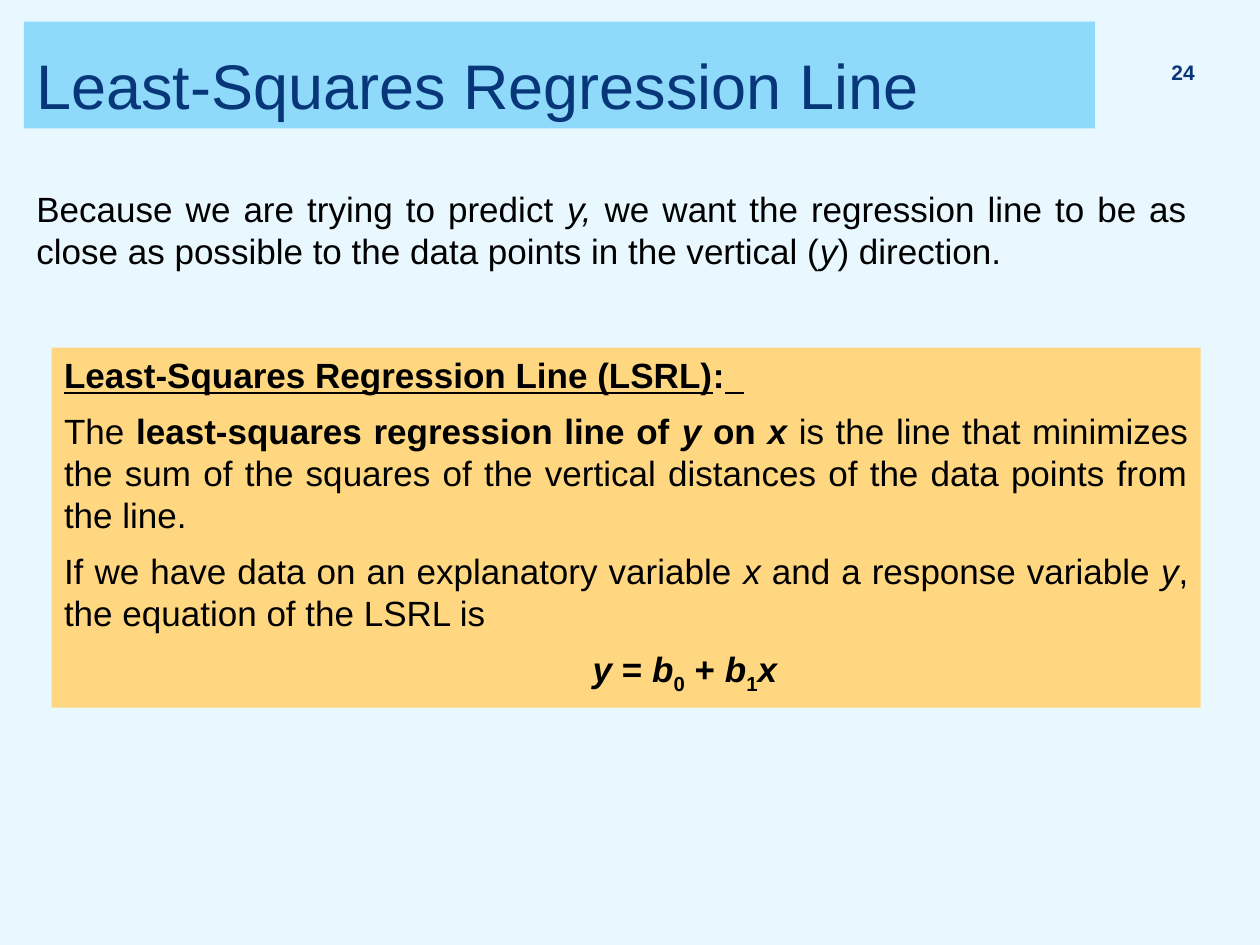
from pptx import Presentation
from pptx import util as u
from pptx.dml.color import RGBColor
from pptx.enum import shapes, text

SKY = RGBColor(0xE9, 0xF7, 0xFE)
BANNER = RGBColor(0x8F, 0xD9, 0xFB)
NAVY = RGBColor(0x07, 0x37, 0x79)
GOLD = RGBColor(0xFF, 0xD7, 0x80)
BLACK = RGBColor(0, 0, 0)
WIDTH, HEIGHT = u.Inches(10), u.Inches(7.5)
JUSTIFY = text.PP_ALIGN.JUSTIFY

INTRO = [
    ("Because we are trying to predict ", ""), ("y,", "i"),
    (" we want the regression line to be as close as possible to the data "
     "points in the vertical (", ""), ("y", "i"), (") direction.", ""),
]
HEADING = [("Least-Squares Regression Line (LSRL)", "bu"), (":", "b"), ("  ", "u")]
DEFINITION = [
    ("The ", ""), ("least-squares regression line of ", "b"), ("y ", "bi"),
    ("on ", "b"), ("x ", "bi"),
    ("is the line that minimizes the sum of the squares of the vertical "
     "distances of the data points from the line.", ""),
]
VARIABLES = [
    ("If we have data on an explanatory variable ", ""), ("x", "i"),
    (" and a response variable ", ""), ("y", "i"),
    (", the equation of the LSRL is", ""),
]
EQUATION = [
    ("y", "bi"), (" = ", "b"), ("b", "bi"), ("0", "bs"), (" + ", "b"),
    ("b", "bi"), ("1", "bs"), ("x", "bi"),
]


def share(left, top, width, height):
    """Turn shares of the slide into a box in slide units."""
    return (int(left * WIDTH), int(top * HEIGHT),
            int(width * WIDTH), int(height * HEIGHT))


def style(font, size, color):
    """Give a font the deck's typeface with a size and colour."""
    font.name, font.size, font.color.rgb = "Arial", u.Pt(size), color


def add_panel(slide, box, fill):
    """Add a plain filled rectangle and return its text frame."""
    panel = slide.shapes.add_shape(shapes.MSO_SHAPE.RECTANGLE, *box)
    panel.shadow.inherit = False
    panel.fill.solid()
    panel.fill.fore_color.rgb = fill
    panel.line.fill.background()
    return panel.text_frame


def write_paragraph(paragraph, pieces, align):
    """Write pieces of text marked b, i, u or s (subscript)."""
    paragraph.alignment = align
    for words, marks in pieces:
        run = paragraph.add_run()
        run.text = words
        style(run.font, 20, BLACK)
        run.font.bold, run.font.italic = "b" in marks, "i" in marks
        run.font.underline = "u" in marks
        if "s" in marks:
            run.font._element.set("baseline", "-25000")


def add_title(slide, box):
    """Add the title banner."""
    frame = add_panel(slide, box, BANNER)
    frame.text = "Least-Squares Regression Line"
    frame.vertical_anchor = text.MSO_ANCHOR.BOTTOM
    title = frame.paragraphs[0]
    title.alignment = text.PP_ALIGN.LEFT
    style(title.runs[0].font, 36, NAVY)


def add_page_number(slide, box):
    """Add the page number at the right of the banner."""
    frame = slide.shapes.add_textbox(*box).text_frame
    frame.word_wrap = True
    frame.text = "24"
    frame.vertical_anchor = text.MSO_ANCHOR.MIDDLE
    number = frame.paragraphs[0]
    number.alignment, number.line_spacing = text.PP_ALIGN.RIGHT, 0.8
    style(number.runs[0].font, 12, NAVY)
    number.runs[0].font.bold = True


def add_intro(slide, box):
    """Add the opening statement."""
    frame = slide.shapes.add_textbox(*box).text_frame
    frame.word_wrap = True
    write_paragraph(frame.paragraphs[0], INTRO, JUSTIFY)


def add_definition(slide, box):
    """Add the definition panel, ending in the indented equation."""
    frame = add_panel(slide, box, GOLD)
    frame.vertical_anchor = text.MSO_ANCHOR.TOP
    left = text.PP_ALIGN.LEFT
    rows = [(HEADING, left), (DEFINITION, JUSTIFY),
            (VARIABLES, JUSTIFY), (EQUATION, left)]
    for index, (pieces, align) in enumerate(rows):
        paragraph = frame.add_paragraph() if index else frame.paragraphs[0]
        write_paragraph(paragraph, pieces, align)
        if index:
            paragraph.space_before = u.Pt(8)
    equation = frame.paragraphs[-1]
    equation._p.get_or_add_pPr().set("marL", str(int(box[2] * 0.46)))


def main():
    """Build and save the slide."""
    deck = Presentation()
    deck.slide_width, deck.slide_height = WIDTH, HEIGHT
    slide = deck.slides.add_slide(deck.slide_layouts[6])
    slide.background.fill.solid()
    slide.background.fill.fore_color.rgb = SKY
    add_title(slide, share(0.019, 0.023, 0.85, 0.113))
    add_page_number(slide, share(0.903, 0.052, 0.055, 0.053))
    add_intro(slide, share(0.019, 0.192, 0.933, 0.121))
    add_definition(slide, share(0.041, 0.368, 0.912, 0.381))
    deck.save("out.pptx")


if __name__ == "__main__":
    main()
